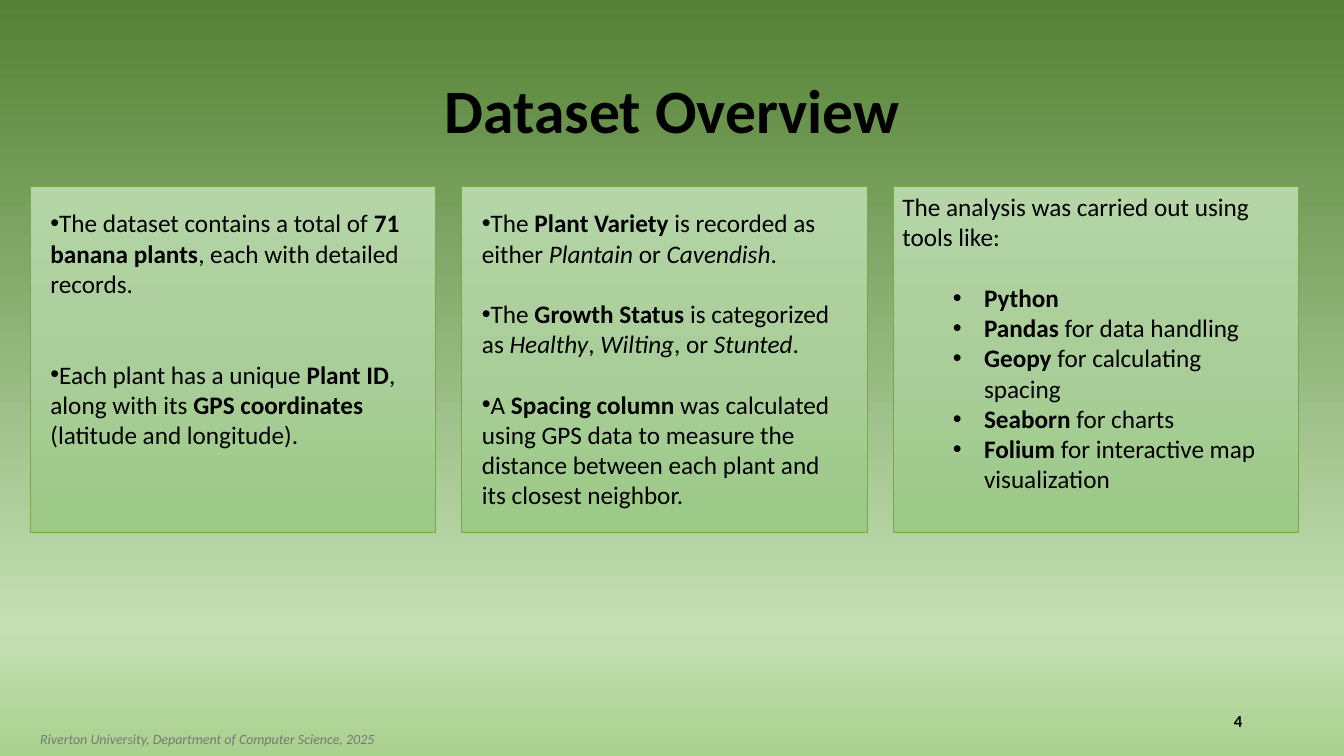
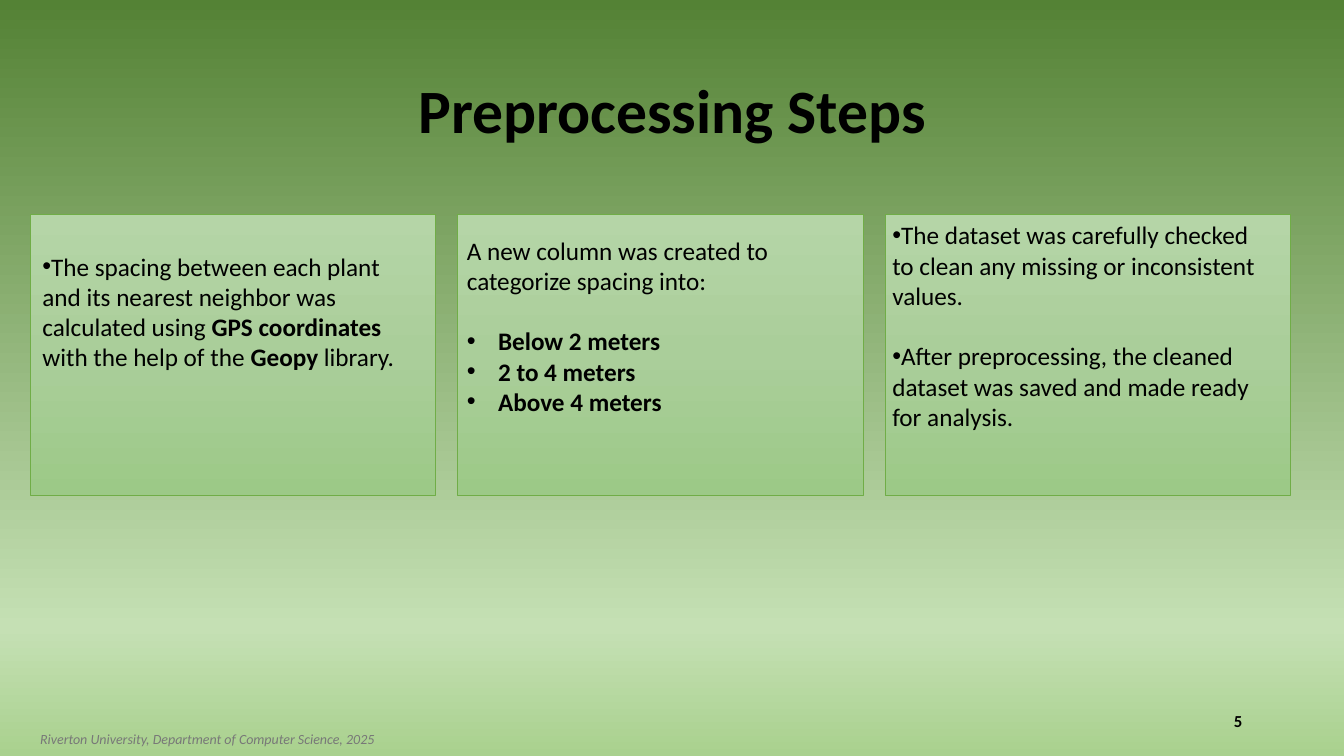
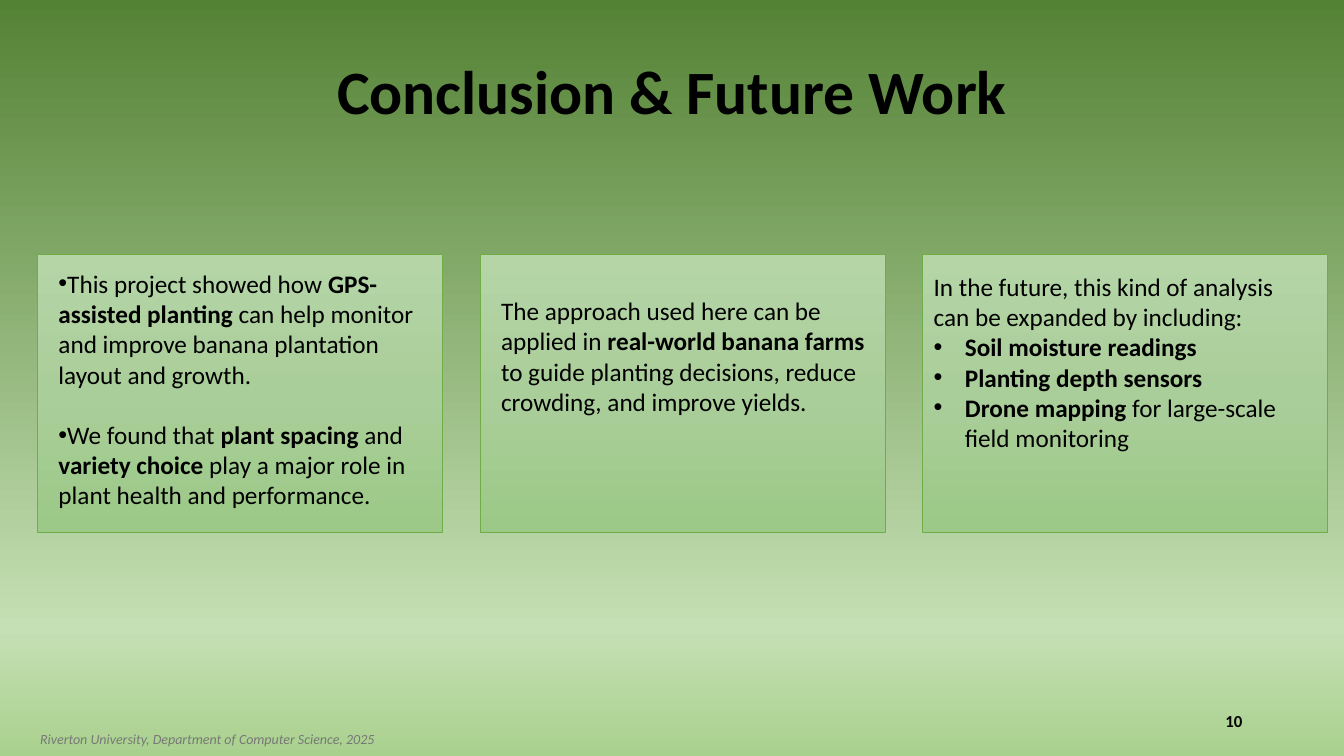
from dataclasses import dataclass
from typing import Any

import lxml.etree
import pptx
import pptx.dml.color
import pptx.enum.shapes
import pptx.enum.text
import pptx.oxml.ns
import pptx.util

Inches = pptx.util.Inches
Pt = pptx.util.Pt
RGBColor = pptx.dml.color.RGBColor
Align = pptx.enum.text.PP_ALIGN
Anchor = pptx.enum.text.MSO_ANCHOR
qn = pptx.oxml.ns.qn

BLACK = RGBColor(0x00, 0x00, 0x00)
GREY = RGBColor(0x78, 0x78, 0x78)
LEAF = RGBColor(0x70, 0xAD, 0x47)
PAGE_STOPS = [
    (0, RGBColor(0x54, 0x82, 0x35)),
    (83, RGBColor(0xC5, 0xE0, 0xB4)),
    (100, RGBColor(0xA9, 0xD1, 0x8E)),
    (100, RGBColor(0xE2, 0xF0, 0xD9)),
]
CARD_STOPS = [
    (0, RGBColor(0xB5, 0xD5, 0xA7)),
    (50, RGBColor(0xAA, 0xCE, 0x9A)),
    (100, RGBColor(0x9C, 0xC9, 0x87)),
]

FONT = "Calibri"
TITLE_FONT = {"name": FONT, "size": Pt(44), "bold": True}
BODY_FONT = {"name": FONT, "size": Pt(18)}
FOOTER_FONT = {"name": FONT, "size": Pt(10), "italic": True}
NUMBER_FONT = {"name": FONT, "size": Pt(12), "bold": True}
FRAME = {"word_wrap": True, "auto_size": pptx.enum.text.MSO_AUTO_SIZE.NONE}
TOP_FRAME = FRAME | {"vertical_anchor": Anchor.TOP}
MIDDLE_FRAME = FRAME | {"vertical_anchor": Anchor.MIDDLE}

FOOTER = "Riverton University, Department of Computer Science, 2025"
CARD_WIDTH = 4.02
TEXT_WIDTH = 3.81
HANGING = 0.31
BLANK_LINE = 21.6


@dataclass
class Item:
    """A paragraph: *bold* and _italic_ stretches are marked in its text."""
    text: str
    bullet: bool = True
    margin: float = 0
    gap_lines: int = 0
    level: int = 0


@dataclass
class Column:
    left: float
    top: float
    height: float
    items: list[Item]


@dataclass
class Topic:
    title: str
    number: int
    title_top: float
    first_left: float
    pitch: float
    card_top: float
    card_height: float
    columns: list[Column]


def plain(text: str) -> Item:
    return Item(text, bullet=False)


def hanging(text: str, gap_lines: int = 0) -> Item:
    return Item(text, margin=HANGING, gap_lines=gap_lines)


def nested(text: str, gap_lines: int = 0) -> Item:
    return Item(text, margin=0.81, gap_lines=gap_lines, level=1)


TOPICS = [
    Topic("Dataset Overview", 4, 0.4, 0.3, 4.28, 1.85, 3.43, [
        Column(0.4, 2.01, 2.83, [
            Item("The dataset contains a total of *71 banana plants*, each with detailed records."),
            Item("Each plant has a unique *Plant ID*, along with its *GPS coordinates*"
                 " (latitude and longitude).", gap_lines=2),
        ]),
        Column(4.68, 2.01, 3.43, [
            Item("The *Plant Variety* is recorded as either _Plantain_ or _Cavendish_."),
            Item("The *Growth Status* is categorized as _Healthy_, _Wilting_, or _Stunted_.",
                 gap_lines=1),
            Item("A *Spacing column* was calculated using GPS data to measure the distance"
                 " between each plant and its closest neighbor.", gap_lines=1),
        ]),
        Column(8.85, 1.85, 3.43, [
            plain("The analysis was carried out using tools like:"),
            nested("*Python*", gap_lines=1),
            nested("*Pandas* for data handling"),
            nested("*Geopy* for calculating spacing"),
            nested("*Seaborn* for charts"),
            nested("*Folium* for interactive map visualization"),
        ]),
    ]),
    Topic("Preprocessing Steps", 5, 0.4, 0.3, 4.24, 2.13, 2.78, [
        Column(0.32, 2.44, 1.31, [
            Item("The spacing between each plant and its nearest neighbor was calculated using"
                 " *GPS coordinates* with the help of the *Geopy* library."),
        ]),
        Column(4.53, 2.28, 1.92, [
            plain("A new column was created to categorize spacing into:"),
            hanging("*Below 2 meters*", gap_lines=1),
            hanging("*2 to 4 meters*"),
            hanging("*Above 4 meters*"),
        ]),
        Column(8.75, 2.13, 2.22, [
            Item("The dataset was carefully checked to clean any missing or inconsistent values."),
            Item("After preprocessing, the cleaned dataset was saved and made ready for analysis.",
                 gap_lines=1),
        ]),
    ]),
    Topic("Conclusion & Future Work", 10, 0.21, 0.37, 4.39, 2.52, 2.76, [
        Column(0.48, 2.61, 3.13, [
            Item("This project showed how *GPS-assisted planting* can help monitor and improve"
                 " banana plantation layout and growth."),
            Item("We found that *plant spacing* and *variety choice* play a major role in plant"
                 " health and performance.", gap_lines=1),
        ]),
        Column(4.87, 2.88, 1.62, [
            plain("The approach used here can be applied in *real-world banana farms* to guide"
                  " planting decisions, reduce crowding, and improve yields."),
        ]),
        Column(9.16, 2.64, 2.22, [
            plain("In the future, this kind of analysis can be expanded by including:"),
            hanging("*Soil moisture readings*"),
            hanging("*Planting depth sensors*"),
            hanging("*Drone mapping* for large-scale field monitoring"),
        ]),
    ]),
]


def set_format(target: Any, values: dict[str, Any]) -> None:
    for name, value in values.items():
        setattr(target, name, value)


def place(box: Any, left: float, top: float, width: float, height: float) -> None:
    set_format(box, {"left": Inches(left), "top": Inches(top),
                     "width": Inches(width), "height": Inches(height)})


def fill_downward(fill: Any, element: Any, stops: list[tuple[int, RGBColor]]) -> None:
    """Give the fill, the first one in the element, a top-to-bottom gradient."""
    fill.gradient()
    fill.gradient_angle = 270
    stop_list = element.find(".//" + qn("a:gsLst"))
    for old_stop in list(stop_list):
        stop_list.remove(old_stop)
    for percent, colour in stops:
        stop = lxml.etree.SubElement(stop_list, qn("a:gs"), pos=str(percent * 1000))
        lxml.etree.SubElement(stop, qn("a:srgbClr"), val=str(colour))


def add_span(para: Any, text: str, font: dict[str, Any], colour: RGBColor = BLACK) -> None:
    span = para.add_run()
    span.text = text
    set_format(span.font, font)
    span.font.color.rgb = colour


def write_line(box: Any, text: str, frame: dict[str, Any], font: dict[str, Any],
               align: Any, colour: RGBColor = BLACK) -> None:
    set_format(box.text_frame, frame)
    para = box.text_frame.paragraphs[0]
    para.alignment = align
    add_span(para, text, font, colour)


def write_item(para: Any, item: Item) -> None:
    set_format(para, {"level": item.level, "alignment": Align.LEFT,
                      "space_before": Pt(item.gap_lines * BLANK_LINE)})
    properties = para._p.get_or_add_pPr()
    properties.set("marL", str(Inches(item.margin)))
    properties.set("indent", str(Inches(-HANGING if item.margin else 0)))
    if item.bullet:
        lxml.etree.SubElement(properties, qn("a:buFont"), typeface="Arial")
        lxml.etree.SubElement(properties, qn("a:buChar"), char="•")
    else:
        lxml.etree.SubElement(properties, qn("a:buNone"))
    for bold_turn, stretch in enumerate(item.text.split("*")):
        for italic_turn, text in enumerate(stretch.split("_")):
            if text:
                style = {"bold": bold_turn % 2 == 1, "italic": italic_turn % 2 == 1}
                add_span(para, text, BODY_FONT | style)


def add_card(page: Any, left: float, top: float, height: float) -> None:
    """Add a gradient card behind the slide's placeholders."""
    card = page.shapes.add_shape(
        pptx.enum.shapes.MSO_SHAPE.RECTANGLE,
        Inches(left), Inches(top), Inches(CARD_WIDTH), Inches(height))
    card.shadow.inherit = False
    fill_downward(card.fill, card.element, CARD_STOPS)
    card.line.color.rgb = LEAF
    card.line.width = Pt(0.5)
    card.element.getparent().insert(2, card.element)


def write_column(box: Any, column: Column) -> None:
    place(box, column.left, column.top, TEXT_WIDTH, column.height)
    frame = box.text_frame
    set_format(frame, TOP_FRAME)
    for index, item in enumerate(column.items):
        write_item(frame.add_paragraph() if index else frame.paragraphs[0], item)


def add_footer(page: Any, number: int) -> None:
    credit = page.shapes.add_textbox(Inches(0.3), Inches(7.2), Inches(12), Inches(0.3))
    write_line(credit, FOOTER, TOP_FRAME, FOOTER_FONT, Align.LEFT, GREY)
    counter = page.shapes.add_textbox(Inches(9.42), Inches(6.95), Inches(3), Inches(0.4))
    write_line(counter, str(number), MIDDLE_FRAME, NUMBER_FONT, Align.RIGHT)


def add_page(deck: Any, topic: Topic) -> None:
    page = deck.slides.add_slide(deck.slide_layouts.get_by_name("Comparison"))
    title = page.shapes.title
    place(title, 0.92, topic.title_top, 11.5, 1.45)
    write_line(title, topic.title, MIDDLE_FRAME, TITLE_FONT, Align.CENTER)
    title.text_frame.paragraphs[0].line_spacing = 0.9

    bodies = [box for box in page.placeholders if box.placeholder_format.idx > 0]
    for index, (box, column) in enumerate(zip(bodies, topic.columns)):
        add_card(page, topic.first_left + index * topic.pitch,
                 topic.card_top, topic.card_height)
        write_column(box, column)
    for unused in bodies[len(topic.columns):]:
        unused.element.getparent().remove(unused.element)
    add_footer(page, topic.number)


def main() -> None:
    deck = pptx.Presentation()
    deck.slide_width, deck.slide_height = Inches(13.33), Inches(7.5)
    master = deck.slide_master
    fill_downward(master.background.fill, master.element, PAGE_STOPS)
    for topic in TOPICS:
        add_page(deck, topic)
    deck.save("out.pptx")


if __name__ == "__main__":
    main()
